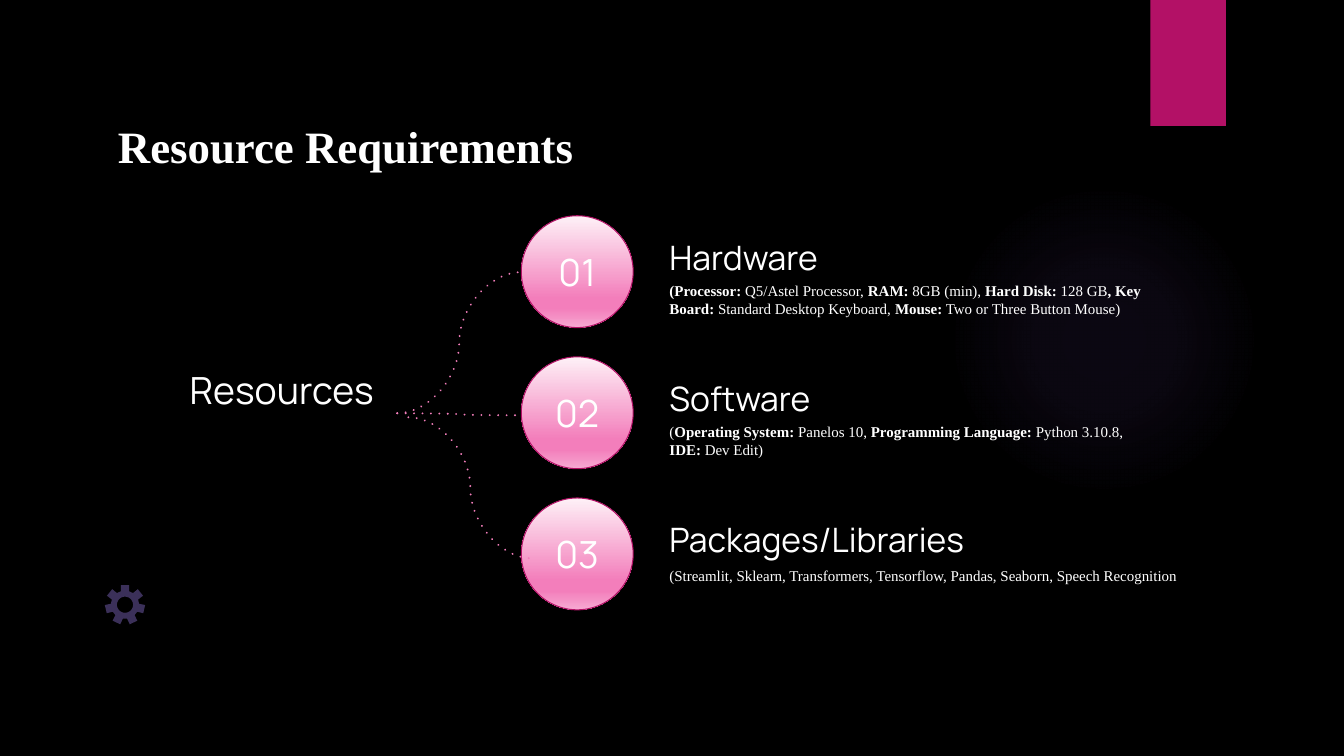
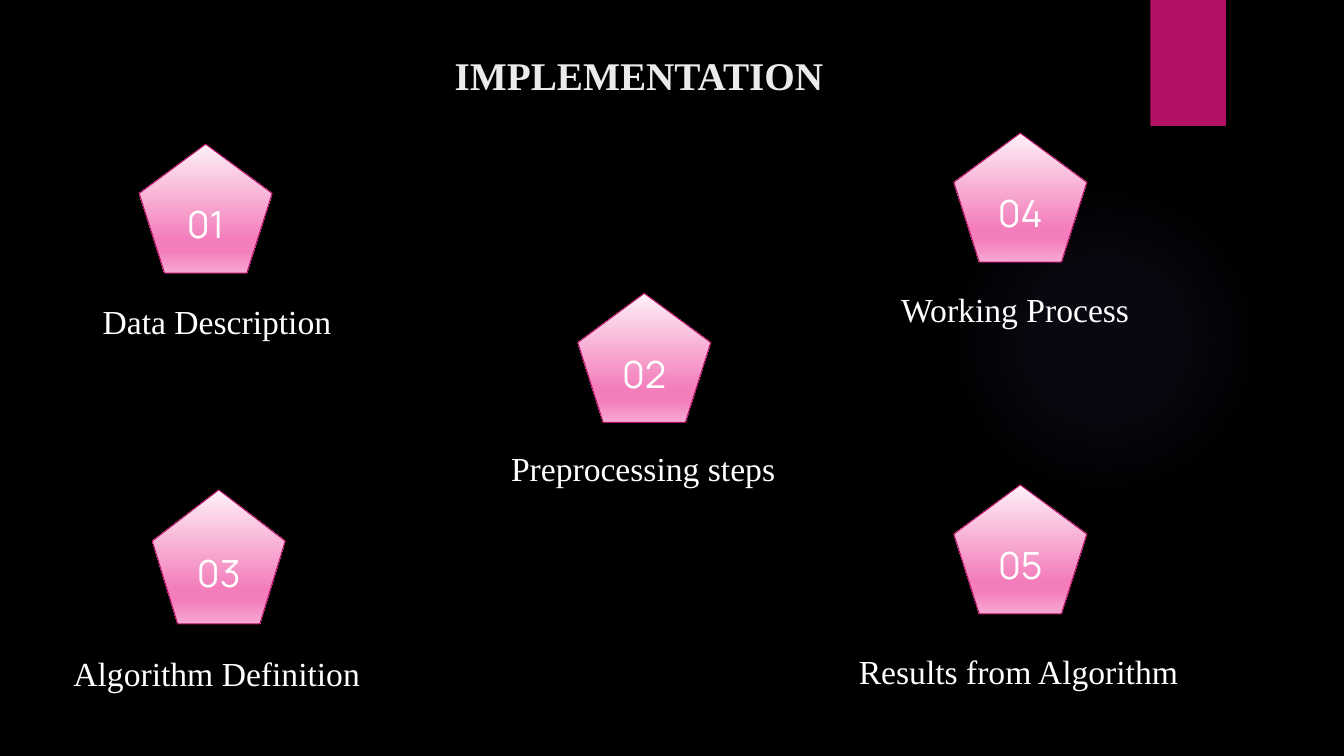
from dataclasses import dataclass
from math import cos, radians, sin

from lxml.etree import SubElement
from pptx import Presentation
from pptx.dml.color import RGBColor
from pptx.enum.shapes import MSO_CONNECTOR as Connector, MSO_SHAPE as Preset
from pptx.enum.text import MSO_ANCHOR as Anchor, MSO_AUTO_SIZE as AutoSize, PP_ALIGN as Align
from pptx.oxml.ns import qn
from pptx.util import Inches, Pt

SERIF, SANS = "Times New Roman", "Manrope"
BLACK, WHITE, OFF_WHITE = "000000", "FFFFFF", "EBEBEB"
MAGENTA, PINK, VIOLET, INDIGO = "B31166", "F37EBB", "9B6BF2", "3B3059"
BADGE_STOPS = [(0, "FEF1F7", 100), (74, PINK, 100), (83, PINK, 100), (100, "F7A9D2", 100)]
GLOW_STOPS = [(0, VIOLET, 7), (36, VIOLET, 6), (69, VIOLET, 0)]
WIDE_INSET = 0.13


@dataclass(frozen=True)
class Box:
    left: float
    top: float
    width: float
    height: float

    def lengths(self) -> list:
        return [Inches(value) for value in (self.left, self.top, self.width, self.height)]


@dataclass(frozen=True)
class Style:
    size: float
    font: str = SERIF
    color: str = WHITE
    bold: bool = False
    spacing: float = 1.0
    align: Align = Align.LEFT
    anchor: Anchor = Anchor.TOP
    inset: float = WIDE_INSET


@dataclass(frozen=True)
class Resource:
    heading: str
    details: str
    width: float = 4.99
    spacing: float = 1.0


@dataclass(frozen=True)
class Step:
    number: str
    badge: Box
    label: str
    label_box: Box


BADGE = Style(26.7, SANS, align=Align.CENTER, anchor=Anchor.MIDDLE)
HEADING = Style(24, SANS, spacing=1.15, anchor=Anchor.BOTTOM)
HUB = Style(26.7, SANS, spacing=1.15, align=Align.CENTER)
LABEL = Style(24, spacing=1.15, inset=0.1)

RESOURCES = [
    Resource("Hardware", "*(Processor: *Q5/Astel Processor, *RAM:* 8GB (min), *Hard Disk: *128 GB*, "
             "Key Board:* Standard Desktop Keyboard, *Mouse:* Two or Three Button Mouse)"),
    Resource("Software", "(*Operating System: *Panelos 10, *Programming Language: *Python 3.10.8, "
             "*IDE: *Dev Edit)"),
    Resource("Packages/Libraries", "(Streamlit, Sklearn, Transformers, Tensorflow, Pandas, Seaborn, "
             "Speech Recognition", 5.49, 1.15),
]
BRANCHES = [(3.94, 4.1, 5.17, 2.7), (3.94, 4.1, 5.17, 4.12), (4.05, 4.14, 5.28, 5.54)]
STEPS = [
    Step("01", Box(1.38, 1.43, 1.32, 1.28), "Data Description", Box(0.92, 2.88, 2.49, 0.53)),
    Step("02", Box(5.73, 2.91, 1.32, 1.28), "Preprocessing steps", Box(4.97, 4.33, 2.85, 0.53)),
    Step("03", Box(1.51, 4.86, 1.32, 1.33), "Algorithm Definition", Box(0.63, 6.37, 3.07, 0.53)),
    Step("04", Box(9.46, 1.32, 1.32, 1.28), "Working Process", Box(8.84, 2.76, 2.57, 0.57)),
    Step("05", Box(9.46, 4.81, 1.32, 1.28), "Results from Algorithm", Box(8.42, 6.35, 3.4, 0.57)),
]


def rgb(color: str) -> RGBColor:
    return RGBColor.from_string(color)


def write(shape, text: str, style: Style, wrap: bool = True) -> None:
    frame = shape.text_frame
    frame.word_wrap = wrap
    frame.auto_size = AutoSize.NONE if wrap else AutoSize.SHAPE_TO_FIT_TEXT
    frame.vertical_anchor = style.anchor
    frame.margin_left = frame.margin_right = Inches(style.inset)
    frame.margin_top = frame.margin_bottom = Inches(style.inset if wrap else 0.05)
    paragraph = frame.paragraphs[0]
    paragraph.alignment = style.align
    paragraph.line_spacing = style.spacing
    for index, part in enumerate(text.split("*")):
        if part:
            run = paragraph.add_run()
            run.text = part
            run.font.name = style.font
            run.font.size = Pt(style.size)
            run.font.bold = style.bold or index % 2 == 1
            run.font.color.rgb = rgb(style.color)


def add_text(slide, box: Box, text: str, style: Style, wrap: bool = True) -> None:
    write(slide.shapes.add_textbox(*box.lengths()), text, style, wrap)


def add_preset(slide, preset: Preset, box: Box):
    shape = slide.shapes.add_shape(preset, *box.lengths())
    shape.shadow.inherit = False
    shape.line.fill.background()
    return shape


def fill_solid(shape, color: str) -> None:
    shape.fill.solid()
    shape.fill.fore_color.rgb = rgb(color)


def fill_gradient(shape, stops: list, radial: bool = False) -> None:
    shape.fill.gradient()
    gradient = shape.element.spPr.find(qn("a:gradFill"))
    for child in list(gradient):
        gradient.remove(child)
    stop_list = SubElement(gradient, qn("a:gsLst"))
    for position, color, opacity in stops:
        stop = SubElement(stop_list, qn("a:gs"), pos=str(position * 1000))
        value = SubElement(stop, qn("a:srgbClr"), val=color)
        if opacity < 100:
            SubElement(value, qn("a:alpha"), val=str(opacity * 1000))
    if radial:
        circle = SubElement(gradient, qn("a:path"), path="circle")
        SubElement(circle, qn("a:fillToRect"), l="50000", t="50000", r="50000", b="50000")
    else:
        SubElement(gradient, qn("a:lin"), ang="5400000", scaled="0")


def add_badge(slide, preset: Preset, box: Box, number: str) -> None:
    badge = add_preset(slide, preset, box)
    fill_gradient(badge, BADGE_STOPS)
    badge.line.color.rgb = rgb(MAGENTA)
    badge.line.width = Pt(0.75)
    write(badge, number, BADGE)


def add_branch(slide, ends: tuple) -> None:
    branch = slide.shapes.add_connector(Connector.CURVE, *[Inches(value) for value in ends])
    branch.line.color.rgb = rgb(PINK)
    branch.line.width = Pt(1.5)
    properties = branch.element.spPr
    outline = properties.find(qn("a:ln"))
    outline.set("cap", "rnd")
    SubElement(outline, qn("a:prstDash"), val="dot")
    SubElement(properties, qn("a:effectLst"))


def add_gear(slide, center_x: float, center_y: float, teeth: int = 7) -> None:
    def point(angle: float, radius: float) -> tuple:
        return (Inches(center_x + radius * cos(radians(angle))),
                Inches(center_y + radius * sin(radians(angle))))

    corners = [(-17, 0.14), (-12, 0.2), (12, 0.2), (17, 0.14)]
    rim = [point(360 * tooth / teeth - 90 + offset, radius)
           for tooth in range(teeth) for offset, radius in corners]
    hole = [point(-angle, 0.08) for angle in range(0, 360, 10)]
    builder = slide.shapes.build_freeform(*rim[0], scale=1.0)
    builder.add_line_segments(rim[1:], close=True)
    builder.move_to(*hole[0])
    builder.add_line_segments(hole[1:], close=True)
    gear = builder.convert_to_shape()
    gear.shadow.inherit = False
    gear.line.fill.background()
    fill_solid(gear, INDIGO)


def add_slide(presentation, title: str, box: Box, style: Style):
    slide = presentation.slides.add_slide(presentation.slide_layouts[5])
    glow = add_preset(slide, Preset.OVAL, Box(9.41, 1.83, 3.08, 3.08))
    fill_gradient(glow, GLOW_STOPS, radial=True)
    fill_solid(add_preset(slide, Preset.RECTANGLE, Box(11.41, 0, 0.75, 1.25)), MAGENTA)
    placeholder = slide.shapes.title
    placeholder.left, placeholder.top, placeholder.width, placeholder.height = box.lengths()
    write(placeholder, title, style)
    return slide


def build_resources(presentation) -> None:
    slide = add_slide(presentation, "Resource Requirements", Box(1.04, 0.78, 11.25, 1.04),
                      Style(32, bold=True, spacing=1.5))
    add_text(slide, Box(1.65, 3.45, 2.29, 1.29), "Resources", HUB)
    for row, resource in enumerate(RESOURCES):
        offset = 1.4 * row
        details = Style(10.7, spacing=resource.spacing)
        add_badge(slide, Preset.OVAL, Box(5.17, 2.14 + offset, 1.11, 1.11), f"{row + 1:02}")
        add_text(slide, Box(6.51, 2.12 + offset, 4.99, 0.76), resource.heading, HEADING)
        add_text(slide, Box(6.51, 2.66 + offset, resource.width, 0.56), resource.details, details)
    add_gear(slide, 1.24, 6)
    for ends in BRANCHES:
        add_branch(slide, ends)


def build_implementation(presentation) -> None:
    slide = add_slide(presentation, "IMPLEMENTATION", Box(4.41, 0.41, 4.36, 0.77),
                      Style(28, color=OFF_WHITE, bold=True, inset=0.1))
    for step in STEPS:
        add_badge(slide, Preset.REGULAR_PENTAGON, step.badge, step.number)
        add_text(slide, step.label_box, step.label, LABEL, wrap=False)


def main() -> None:
    presentation = Presentation()
    presentation.slide_width, presentation.slide_height = Inches(13.33), Inches(7.5)
    background = presentation.slide_master.background.fill
    background.solid()
    background.fore_color.rgb = rgb(BLACK)
    build_resources(presentation)
    build_implementation(presentation)
    presentation.save("out.pptx")


if __name__ == "__main__":
    main()
